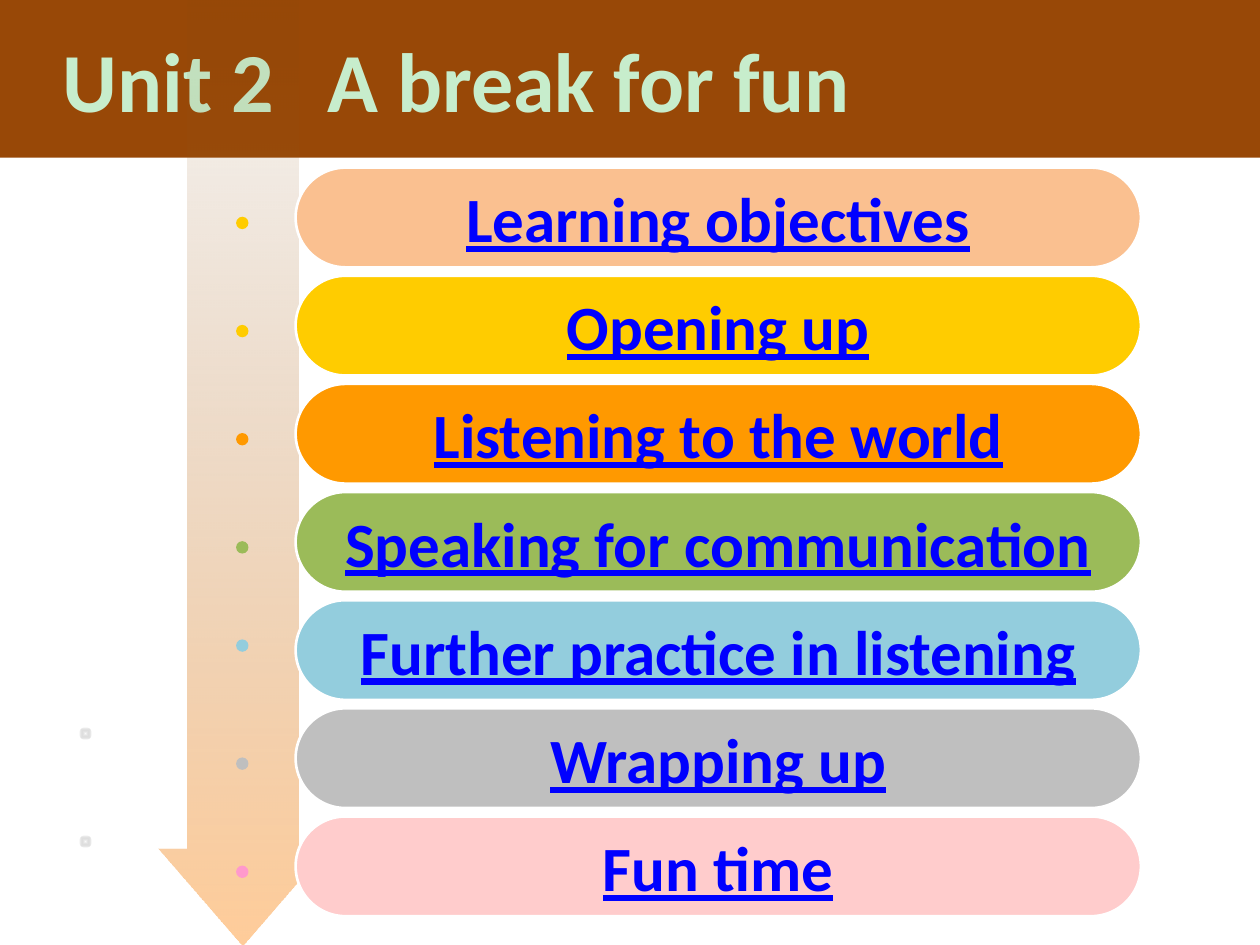
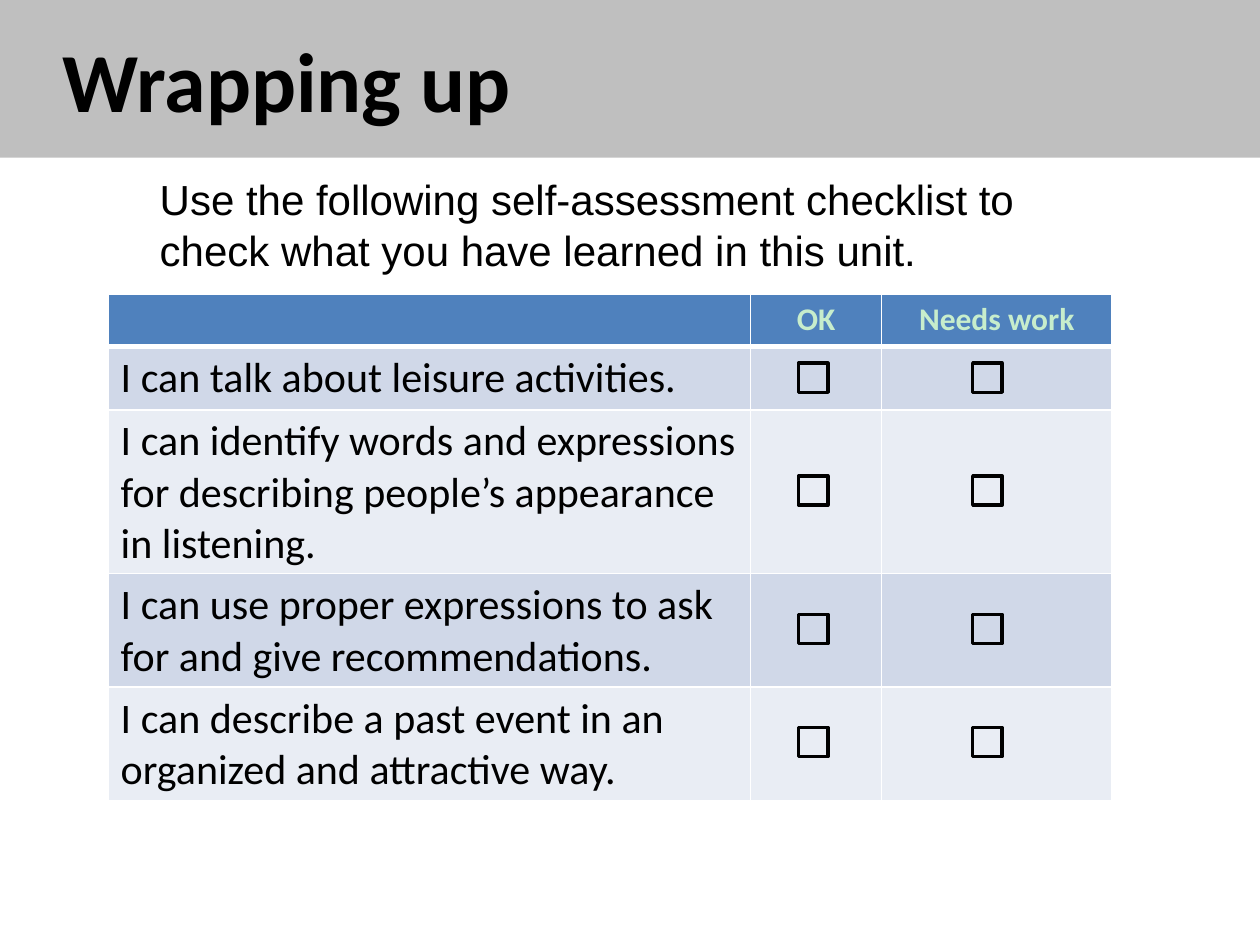
from itertools import accumulate
from lxml.etree import SubElement
from pptx import Presentation
from pptx.dml.color import RGBColor
from pptx.enum.shapes import MSO_SHAPE
from pptx.enum.text import MSO_ANCHOR, PP_ALIGN
from pptx.oxml.ns import qn
from pptx.util import Cm, Pt

WIDE, HIGH = 25.4, 19.05
BAND = (0, 0, WIDE, 3.18)
MINT, WHITE, BLACK, GREY = "C7EDCC", "FFFFFF", "000000", "BFBFBF"
BROWN, BLUE, LINK = "984807", "4F81BD", "0000FF"
STRIPES = ("D0D8E8", "E9EDF4")

UNITS = (
    ("Learning objectives", "FAC090", "FFCC00"),
    ("Opening up", "FFCC00", "FFCC00"),
    ("Listening to the world", "FF9900", "FF9900"),
    ("Speaking for communication", "9BBB59", "9BBB59"),
    ("Further practice in listening", "93CDDD", "93CDDD"),
    ("Wrapping up", GREY, GREY),
    ("Fun time", "FFCCCC", "FF99CC"),
)
SKILLS = (
    "I can talk about leisure activities.",
    "I can identify words and expressions for describing people’s appearance in listening.",
    "I can use proper expressions to ask for and give recommendations.",
    "I can describe a past event in an organized and attractive way.",
)
HEADS = ("", "OK", "Needs work")
COLS = (12.95, 2.64, 4.65)
ROWS = (1.05, 1.25, 3.3, 2.28, 2.28)


def tint(text):
    return RGBColor.from_string(text)


def add_shape(slide, kind, box, fill=None, line=None, width=1.5):
    shape = slide.shapes.add_shape(kind, *map(Cm, box))
    shape.shadow.inherit = False
    if fill:
        shape.fill.solid()
        shape.fill.fore_color.rgb = tint(fill)
    else:
        shape.fill.background()
    if line:
        shape.line.color.rgb = tint(line)
        shape.line.width = Pt(width)
    else:
        shape.line.fill.background()
    return shape


def style(par, size, color, bold=False, face="Calibri", align=PP_ALIGN.LEFT):
    par.alignment = align
    for run in par.runs:
        font = run.font
        font.name, font.size, font.bold = face, Pt(size), bold
        font.color.rgb = tint(color)


def add_fade(shape, stops, round_path=False):
    shape.fill.background()
    props = shape._element.spPr
    old = props.find(qn("a:noFill"))
    spot = props.index(old)
    props.remove(old)
    grad = SubElement(props, qn("a:gradFill"), rotWithShape="1")
    props.insert(spot, grad)
    group = SubElement(grad, qn("a:gsLst"))
    for place, color, alpha in stops:
        stop = SubElement(group, qn("a:gs"), pos=str(place * 1000))
        paint = SubElement(stop, qn("a:srgbClr"), val=color)
        SubElement(paint, qn("a:alpha"), val=str(alpha * 1000))
    if round_path:
        path = SubElement(grad, qn("a:path"), path="shape")
        SubElement(path, qn("a:fillToRect"), **dict.fromkeys("ltrb", "50000"))
    else:
        SubElement(grad, qn("a:lin"), ang="5400000", scaled="1")


def add_title(slide, box, text, fill, color):
    band = add_shape(slide, MSO_SHAPE.RECTANGLE, box, fill)
    frame = band.text_frame
    frame.text = text
    frame.word_wrap = True
    frame.vertical_anchor = MSO_ANCHOR.MIDDLE
    par = frame.paragraphs[0]
    props = par._p.get_or_add_pPr()
    props.set("marL", "0")
    props.set("indent", str(Cm(1.02)))
    tabs = SubElement(props, qn("a:tabLst"))
    SubElement(tabs, qn("a:tab"), pos=str(Cm(7.16)), algn="l")
    style(par, 48, color, True)


def add_arrow(slide, box):
    arrow = add_shape(slide, MSO_SHAPE.UP_ARROW, box)
    arrow.rotation = 180
    arrow.adjustments[0] = 0.66
    arrow.adjustments[1] = 0.58
    add_fade(arrow, ((0, "FF9933", 50), (100, "764718", 0)))


def add_unit(slide, box, text, fill, spot, drop):
    left, top, wide, high = box
    pill = add_shape(slide, MSO_SHAPE.ROUNDED_RECTANGLE, box, fill, WHITE)
    pill.adjustments[0] = 0.5
    frame = pill.text_frame
    frame.text = text
    frame.word_wrap = False
    frame.vertical_anchor = MSO_ANCHOR.MIDDLE
    par = frame.paragraphs[0]
    style(par, 36, LINK, True, align=PP_ALIGN.CENTER)
    par.runs[0].font.underline = True
    add_shape(slide, MSO_SHAPE.OVAL, (left - 1.2, top + drop, 0.25, 0.25), spot)


def add_menu(slide, box):
    left, top, wide, high = box
    step = 2.18
    for i, (text, fill, spot) in enumerate(UNITS):
        drop = 0.79 if i == 4 else 0.99
        add_unit(slide, (left, top + i * step, wide, high), text, fill, spot, drop)
    for i in (5, 6):
        ghost = add_shape(slide, MSO_SHAPE.OVAL,
                          (left - 4.36, top + i * step + 0.38, 0.25, 0.25))
        add_fade(ghost, ((0, WHITE, 50), (100, BLACK, 0)), True)


def add_note(slide, box, text):
    frame = slide.shapes.add_textbox(*map(Cm, box)).text_frame
    frame.word_wrap = True
    frame.text = text
    style(frame.paragraphs[0], 24, BLACK, face="Arial")


def set_cell(cell, fill, above, below):
    props = cell._tc.get_or_add_tcPr()
    for side, width in (("L", 1), ("R", 1), ("T", above), ("B", below)):
        line = SubElement(props, qn("a:ln" + side), w=str(Pt(width)))
        paint = SubElement(line, qn("a:solidFill"))
        SubElement(paint, qn("a:srgbClr"), val=WHITE)
    cell.fill.solid()
    cell.fill.fore_color.rgb = tint(fill)


def add_list(slide, box):
    left, top, wide, high = box
    table = slide.shapes.add_table(len(ROWS), len(COLS), *map(Cm, box)).table
    for col, size in zip(table.columns, COLS):
        col.width = Cm(size)
    for row, size in zip(table.rows, ROWS):
        row.height = Cm(size)
    texts = [HEADS] + [(skill, "", "") for skill in SKILLS]
    for r, line in enumerate(texts):
        for c, text in enumerate(line):
            cell = table.cell(r, c)
            fill = STRIPES[(r - 1) % 2] if r else BLUE
            set_cell(cell, fill, 3 if r == 1 else 1, 1 if r else 3)
            if text:
                cell.text_frame.text = text
                par = cell.text_frame.paragraphs[0]
                if r:
                    style(par, 24, BLACK)
                else:
                    style(par, 18, MINT, True, align=PP_ALIGN.CENTER)
    side = 0.59
    for start, size in zip(accumulate(ROWS), ROWS[1:]):
        for shift in (13.92, 17.43):
            add_shape(slide, MSO_SHAPE.RECTANGLE,
                      (left + shift, top + start + (size - side) / 2, side, side),
                      line=BLACK, width=2)


def add_slide(deck):
    slide = deck.slides.add_slide(deck.slide_layouts[6])
    slide.background.fill.solid()
    slide.background.fill.fore_color.rgb = tint(WHITE)
    return slide


def main():
    deck = Presentation()
    deck.slide_width, deck.slide_height = Cm(WIDE), Cm(HIGH)

    menu = add_slide(deck)
    add_title(menu, BAND, "Unit 2\tA break for fun", BROWN, MINT)
    add_arrow(menu, (3.2, -1.98, 3.38, 21.03))
    add_menu(menu, (5.96, 3.38, 17.04, 2.01))

    check = add_slide(deck)
    add_title(check, BAND, "Wrapping up", GREY, BLACK)
    add_note(check, (2.97, 3.38, 19.25, 2.31),
             "Use the following self-assessment checklist to check "
             "what you have learned in this unit.")
    add_list(check, (2.18, 5.94, sum(COLS), sum(ROWS)))

    deck.save("out.pptx")


if __name__ == "__main__":
    main()
